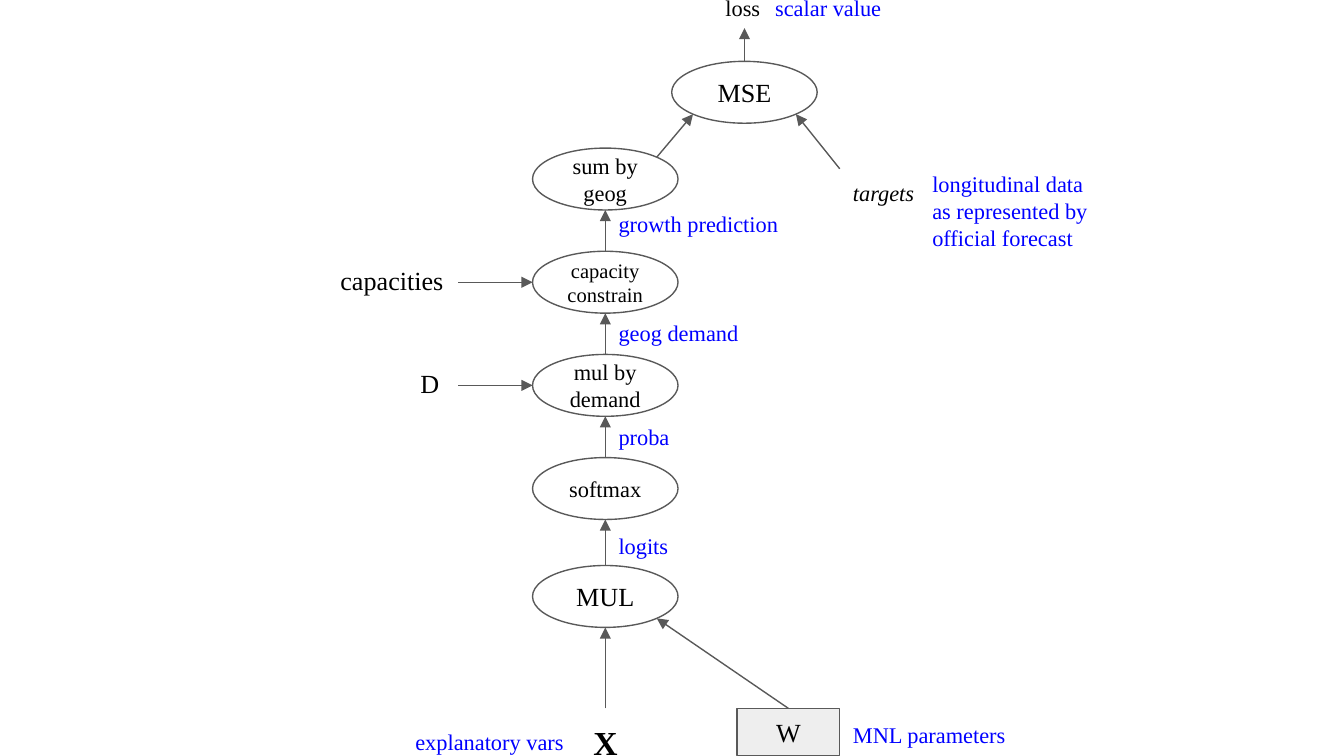
from dataclasses import dataclass
from math import sqrt

from lxml import etree
from pptx import Presentation
from pptx.dml.color import RGBColor
from pptx.enum.shapes import MSO_CONNECTOR, MSO_SHAPE
from pptx.enum.text import MSO_ANCHOR, PP_ALIGN
from pptx.oxml.ns import qn
from pptx.shapes.autoshape import Shape
from pptx.slide import Slide
from pptx.util import Cm, Pt

ELLIPSE, RECTANGLE = MSO_SHAPE.OVAL, MSO_SHAPE.RECTANGLE
STRAIGHT = MSO_CONNECTOR.STRAIGHT
LEFT, CENTER = PP_ALIGN.LEFT, PP_ALIGN.CENTER
TOP, MIDDLE = MSO_ANCHOR.TOP, MSO_ANCHOR.MIDDLE
BLACK, BLUE, GRAY, PALE = "000000", "0000FF", "595959", "EEEEEE"
FONT = "Times New Roman"
NODE_WIDTH, NODE_HEIGHT = 2.75, 1.17
COLUMN_X, COLUMN_TOP, COLUMN_STEP = 11.44, 2.8, 1.95
INPUT_Y, SIDE_X = 13.39, 8.66
Point = tuple[float, float]


@dataclass
class Node:
    """An operation of the graph, drawn as an ellipse."""
    text: str
    x: float
    top: float
    size: int

    def port(self, across: int, down: int) -> Point:
        """Return the outline point in a direction given by two signs."""
        reach = 2 * sqrt(across ** 2 + down ** 2)
        return (self.x + across * NODE_WIDTH / reach,
                self.top + NODE_HEIGHT / 2 + down * NODE_HEIGHT / reach)


@dataclass
class Label:
    """A text beside the graph."""
    text: str
    left: float
    top: float
    width: float
    height: float = 1.04
    size: int = 12
    color: str = BLUE
    align: PP_ALIGN = LEFT
    bold: bool = False
    italic: bool = False


SUM = Node("sum by geog", COLUMN_X, COLUMN_TOP, 12)
CAPACITY = Node("capacity constrain", COLUMN_X, COLUMN_TOP + COLUMN_STEP, 11)
DEMAND = Node("mul by demand", COLUMN_X, COLUMN_TOP + 2 * COLUMN_STEP, 12)
SOFTMAX = Node("softmax", COLUMN_X, COLUMN_TOP + 3 * COLUMN_STEP, 12)
MUL = Node("MUL", COLUMN_X, 10.69, 14)
MSE = Node("MSE", 14.07, 1.16, 14)
COLUMN = [SUM, CAPACITY, DEMAND, SOFTMAX, MUL]

LABELS = [
    Label("X", 10.91, 13.39, 1.07, 0.89, 18, BLACK, CENTER, bold=True),
    Label("D", 7.59, DEMAND.top, 1.07, NODE_HEIGHT, 14, BLACK, CENTER),
    Label("capacities", 6.16, CAPACITY.top, 2.5, NODE_HEIGHT, 14, BLACK, CENTER),
    Label("targets", 15.87, 3.13, 2.21, NODE_HEIGHT, 12, BLACK, italic=True),
    Label("loss", 13.46, -0.36, 1.23, 0.89, 12, BLACK),
    Label("logits", COLUMN_X, 9.8, 1.85),
    Label("proba", COLUMN_X, 7.75, 1.85),
    Label("geog demand", COLUMN_X, 5.78, 3.07),
    Label("growth prediction", COLUMN_X, 3.72, 3.68),
    Label("explanatory vars", 7.6, 13.51, 3.68),
    Label("MNL parameters", 15.87, 13.39, 3.68),
    Label("scalar value", 14.4, -0.36, 3.68),
    Label("longitudinal data as represented by official forecast", 17.37, 2.97, 3.68),
]

ARROWS = [
    *((low.port(0, -1), high.port(0, 1)) for high, low in zip(COLUMN, COLUMN[1:])),
    ((COLUMN_X, INPUT_Y), MUL.port(0, 1)),
    ((14.9, INPUT_Y), MUL.port(1, 1)),
    ((SIDE_X, DEMAND.port(-1, 0)[1]), DEMAND.port(-1, 0)),
    ((SIDE_X, CAPACITY.port(-1, 0)[1]), CAPACITY.port(-1, 0)),
    (SUM.port(1, -1), MSE.port(-1, 1)),
    ((15.87, 3.19), MSE.port(1, 1)),
    (MSE.port(0, -1), (MSE.x, 0.53)),
]


def rgb(color: str) -> RGBColor:
    """Turn a hex string into a colour."""
    return RGBColor.from_string(color)


def write(box: Shape, text: str, color: str, align: PP_ALIGN,
          anchor: MSO_ANCHOR, formats: dict) -> None:
    """Put one formatted paragraph in a box."""
    frame = box.text_frame
    frame.word_wrap = True
    frame.vertical_anchor = anchor
    for side in ("left", "right", "top", "bottom"):
        setattr(frame, f"margin_{side}", Cm(0.25))
    para = frame.paragraphs[0]
    para.alignment = align
    span = para.add_run()
    span.text = text
    for name, value in {"name": FONT, **formats}.items():
        setattr(span.font, name, value)
    span.font.color.rgb = rgb(color)


def draw_outlined(page: Slide, kind: MSO_SHAPE, left: float, top: float, width: float,
                  height: float, text: str, size: int) -> Shape:
    """Draw an unfilled, outlined shape with centred text."""
    shape = page.shapes.add_shape(kind, Cm(left), Cm(top), Cm(width), Cm(height))
    shape.shadow.inherit = False
    shape.fill.background()
    shape.line.color.rgb = rgb(GRAY)
    shape.line.width = Pt(0.75)
    write(shape, text, BLACK, CENTER, MIDDLE, {"size": Pt(size)})
    return shape


def draw_label(page: Slide, label: Label) -> None:
    """Draw a label as a text box."""
    box = page.shapes.add_textbox(Cm(label.left), Cm(label.top),
                                  Cm(label.width), Cm(label.height))
    formats = {"size": Pt(label.size), "bold": label.bold, "italic": label.italic}
    write(box, label.text, label.color, label.align, TOP, formats)


def draw_arrow(page: Slide, start: Point, end: Point) -> None:
    """Draw a line with a triangle at its end."""
    arrow = page.shapes.add_connector(STRAIGHT, *map(Cm, start + end))
    arrow.line.color.rgb = rgb(GRAY)
    arrow.line.width = Pt(0.75)
    properties = arrow.element.spPr
    etree.SubElement(properties.find(qn("a:ln")), qn("a:tailEnd"), type="triangle")
    etree.SubElement(properties, qn("a:effectLst"))


def main() -> None:
    """Build the computation graph slide."""
    deck = Presentation()
    deck.slide_width, deck.slide_height = Cm(25.4), Cm(14.29)
    page = deck.slides.add_slide(deck.slide_layouts[6])
    for node in [*COLUMN, MSE]:
        draw_outlined(page, ELLIPSE, node.x - NODE_WIDTH / 2, node.top,
                      NODE_WIDTH, NODE_HEIGHT, node.text, node.size)
    weights = draw_outlined(page, RECTANGLE, 13.93, INPUT_Y, 1.94, 0.89, "W", 14)
    weights.fill.solid()
    weights.fill.fore_color.rgb = rgb(PALE)
    for start, end in ARROWS:
        draw_arrow(page, start, end)
    for label in LABELS:
        draw_label(page, label)
    deck.save("out.pptx")


if __name__ == "__main__":
    main()
